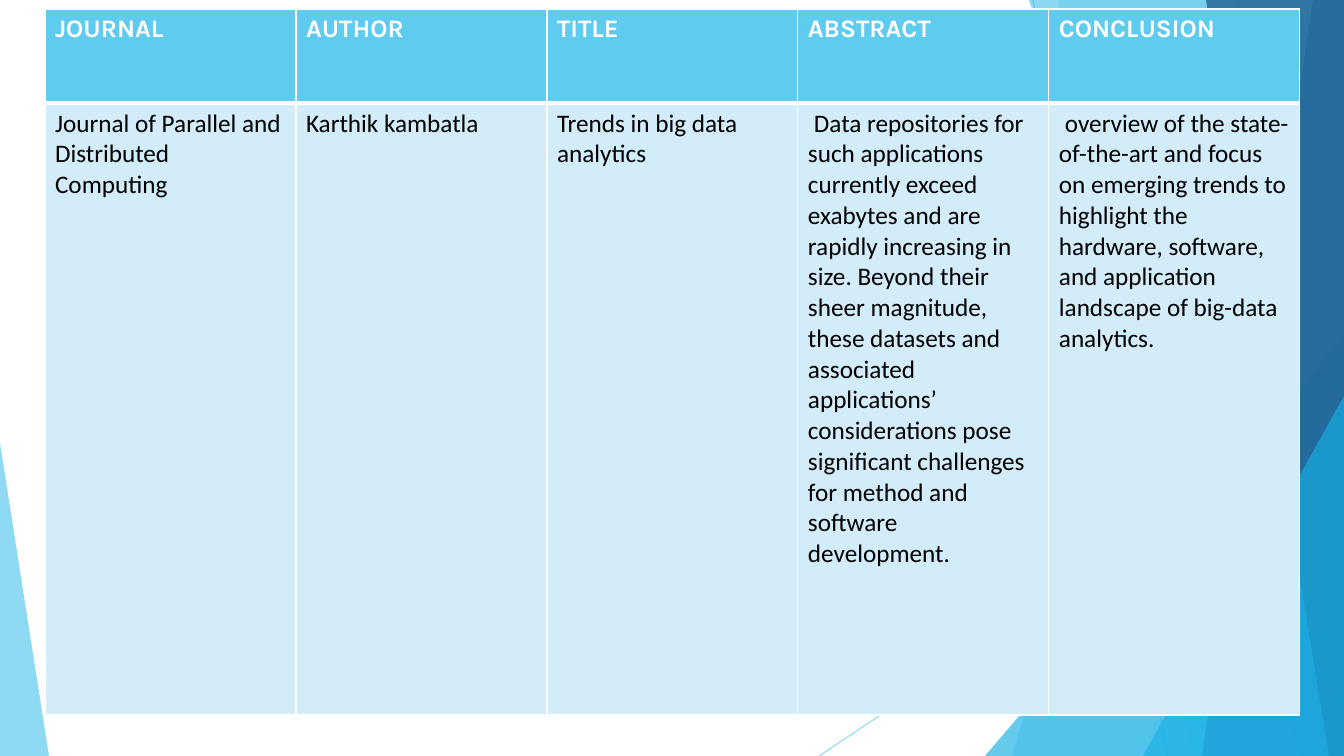
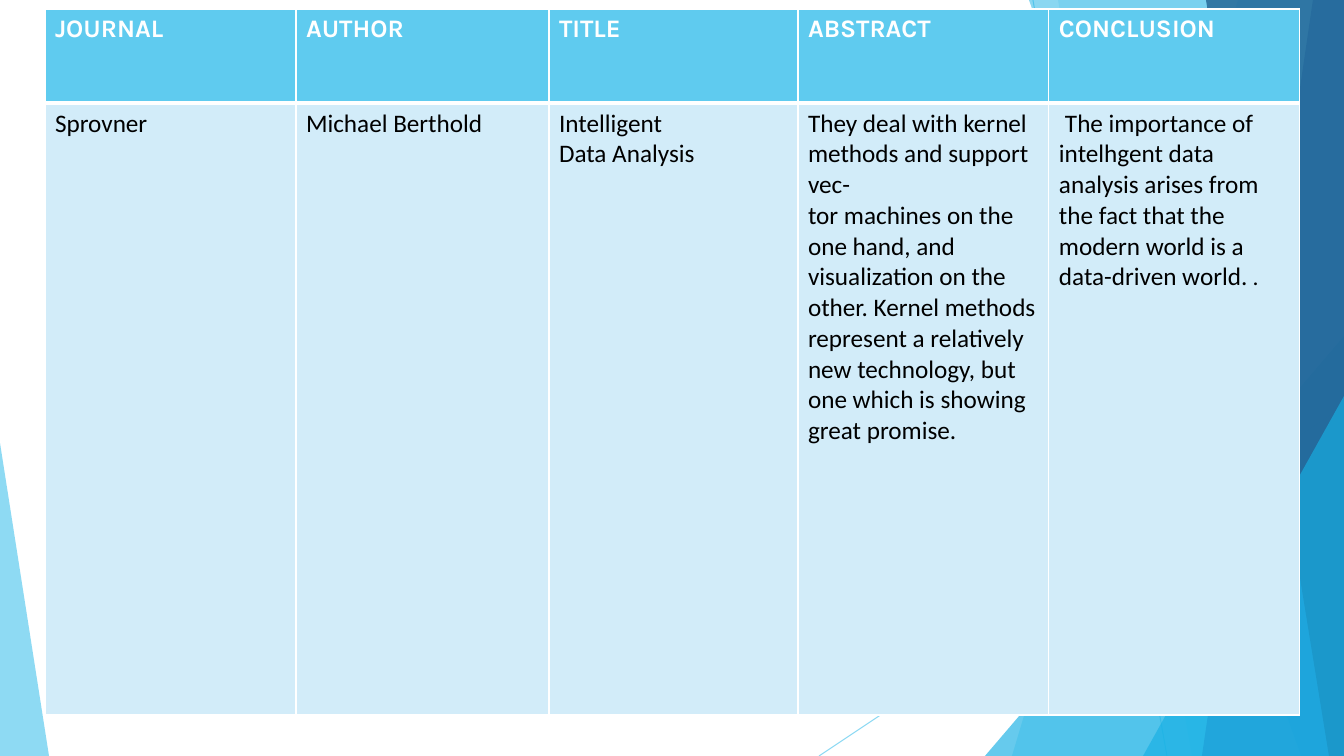
from typing import NamedTuple

from lxml.etree import SubElement
from pptx import Presentation
from pptx.dml.color import RGBColor
from pptx.enum.shapes import MSO_CONNECTOR, MSO_SHAPE
from pptx.oxml.ns import qn
from pptx.util import Emu, Pt

# Scale and shared style
SCALE = 914400 / 100.8  # EMU per pixel
PAGE_WIDTH, PAGE_HEIGHT = 1344, 756
TABLE_LEFT, TABLE_TOP = 45, 9
ROW_HEIGHTS = (94, 612)
TEXT_SIZE = 18
HEADING_FONT, BODY_FONT = "Karla", "Calibri"
COLORS = {
    "sky": "5FCBEF",
    "azure": "17B0E4",
    "blue": "2E83C3",
    "navy": "226292",
    "pale": "D2ECF9",
    "white": "FFFFFF",
    "black": "000000",
}
HEADINGS = ("JOURNAL", "AUTHOR", "TITLE", "ABSTRACT", "CONCLUSION")


class Ray(NamedTuple):
    start: tuple[int, int]
    end: tuple[int, int]


class Band(NamedTuple):
    """Reaches from a slanted left edge to the right edge of the page."""
    top_x: int
    bottom_x: int
    color: str
    opacity: int


class Wedge(NamedTuple):
    """Triangle standing on the bottom edge of the page."""
    left: int
    top: int
    width: int
    apex: int
    color: str
    opacity: int


class Span(NamedTuple):
    text: str
    font: str = BODY_FONT


class Review(NamedTuple):
    column_widths: tuple[int, ...]
    cells: tuple  # one tuple of paragraphs per cell, each a tuple of spans


LEAD = Span("\u00a0", HEADING_FONT)

RAYS = (Ray((1033, 0), (1167, 756)), Ray((1344, 406), (819, 756)))
PANELS = (
    Band(1238, 1012, "sky", 36),
    Band(1058, 1192, "sky", 20),
    Wedge(985, 336, 359, 1, "azure", 66),
    Band(1029, 1301, "azure", 50),
    Band(1313, 1202, "blue", 70),
    Band(1206, 1329, "navy", 80),
    Wedge(1143, 396, 201, 1, "azure", 66),
    Wedge(0, 443, 49, 0, "sky", 70),
)

REVIEWS = (
    Review((251, 251, 251, 251, 251), (
        ((Span("Journal of Parallel and Distributed Computing "),),),
        ((Span("Karthik kambatla"),),),
        ((Span("Trends in big data analytics"),),),
        ((LEAD, Span(
            "Data repositories for such applications currently exceed exabytes "
            "and are rapidly increasing in size. Beyond their sheer magnitude, "
            "these datasets and associated applications’ considerations pose "
            "significant challenges for method and software development.")),),
        ((LEAD, Span(
            "overview of the state-of-the-art and focus on emerging trends to "
            "highlight the hardware, software, and application landscape of "
            "big-data analytics.")),),
    )),
    Review((251, 253, 249, 251, 251), (
        ((Span("Sprovner"),),),
        ((Span("Michael Berthold"),),),
        ((Span("Intelligent"),), (Span("Data Analysis"),)),
        (
            (Span("They deal with kernel methods and support vec-"),),
            (Span("tor machines on the one hand, and visualization on the "
                  "other. Kernel methods"),),
            (Span("represent a relatively new technology, but one which is "
                  "showing great promise."),),
        ),
        (
            (LEAD, Span("The importance of intelhgent data analysis arises "
                        "from the fact that the")),
            (Span("modern world is a data-driven world. "),
             Span(".", HEADING_FONT)),
        ),
    )),
)


def px(pixels: int) -> Emu:
    return Emu(round(pixels * SCALE))


def rgb(name: str) -> RGBColor:
    return RGBColor.from_string(COLORS[name])


def set_opacity(element, percent: int) -> None:
    for color in element.iter(qn("a:srgbClr")):
        SubElement(color, qn("a:alpha")).set("val", str(percent * 1000))


# Backdrop
def draw_ray(page, ray: Ray) -> None:
    line = page.shapes.add_connector(
        MSO_CONNECTOR.STRAIGHT, *map(px, ray.start + ray.end))
    line.line.color.rgb = rgb("sky")
    line.line.width = Pt(0.75)
    properties = line._element.spPr
    set_opacity(properties, 70)
    SubElement(properties, qn("a:effectLst"))


def draw_panel(page, panel: Band | Wedge) -> None:
    if isinstance(panel, Band):
        outline = page.shapes.build_freeform(panel.top_x, 0, SCALE)
        outline.add_line_segments([
            (PAGE_WIDTH, 0), (PAGE_WIDTH, PAGE_HEIGHT),
            (panel.bottom_x, PAGE_HEIGHT)])
        shape = outline.convert_to_shape()
    else:
        shape = page.shapes.add_shape(
            MSO_SHAPE.ISOSCELES_TRIANGLE, px(panel.left), px(panel.top),
            px(panel.width), px(PAGE_HEIGHT - panel.top))
        shape.adjustments[0] = panel.apex
    shape.shadow.inherit = False
    shape.line.fill.background()
    shape.fill.solid()
    shape.fill.fore_color.rgb = rgb(panel.color)
    set_opacity(shape._element.spPr, panel.opacity)


def draw_backdrop(page) -> None:
    for ray in RAYS:
        draw_ray(page, ray)
    for panel in PANELS:
        draw_panel(page, panel)


# Table
def set_borders(cell, top: int, bottom: int) -> None:
    properties = cell._tc.get_or_add_tcPr()
    widths = {"a:lnL": 1, "a:lnR": 1, "a:lnT": top, "a:lnB": bottom}
    for tag, width in widths.items():
        border = SubElement(properties, qn(tag))
        border.set("w", str(Pt(width)))
        fill = SubElement(border, qn("a:solidFill"))
        SubElement(fill, qn("a:srgbClr")).set("val", COLORS["white"])


def fill_cell(cell, paragraphs, fill: str, color: str, bold: bool) -> None:
    frame = cell.text_frame
    frame.text = "\n".join(
        "".join(span.text for span in spans) for spans in paragraphs)
    for para, spans in zip(frame.paragraphs, paragraphs):
        para.runs[0].text = spans[0].text
        for span in spans[1:]:
            para.add_run().text = span.text
        for run, span in zip(para.runs, spans):
            run.font.name = span.font
            run.font.size = Pt(TEXT_SIZE)
            run.font.bold = bold
            run.font.color.rgb = rgb(color)
    cell.fill.solid()
    cell.fill.fore_color.rgb = rgb(fill)


def draw_review(page, review: Review) -> None:
    table = page.shapes.add_table(
        len(ROW_HEIGHTS), len(HEADINGS), px(TABLE_LEFT), px(TABLE_TOP),
        px(sum(review.column_widths)), px(sum(ROW_HEIGHTS))).table
    table.horz_banding = False
    for row, height in zip(table.rows, ROW_HEIGHTS):
        row.height = px(height)
    for column, width in enumerate(review.column_widths):
        table.columns[column].width = px(width)
        heading, body = table.cell(0, column), table.cell(1, column)
        set_borders(heading, top=1, bottom=3)
        set_borders(body, top=3, bottom=1)
        title = ((Span(HEADINGS[column], HEADING_FONT),),)
        fill_cell(heading, title, "sky", "white", True)
        fill_cell(body, review.cells[column], "pale", "black", False)


# Deck
deck = Presentation()
deck.slide_width, deck.slide_height = px(PAGE_WIDTH), px(PAGE_HEIGHT)
for review in REVIEWS:
    page = deck.slides.add_slide(deck.slide_layouts[6])
    draw_backdrop(page)
    draw_review(page, review)
deck.save("out.pptx")
